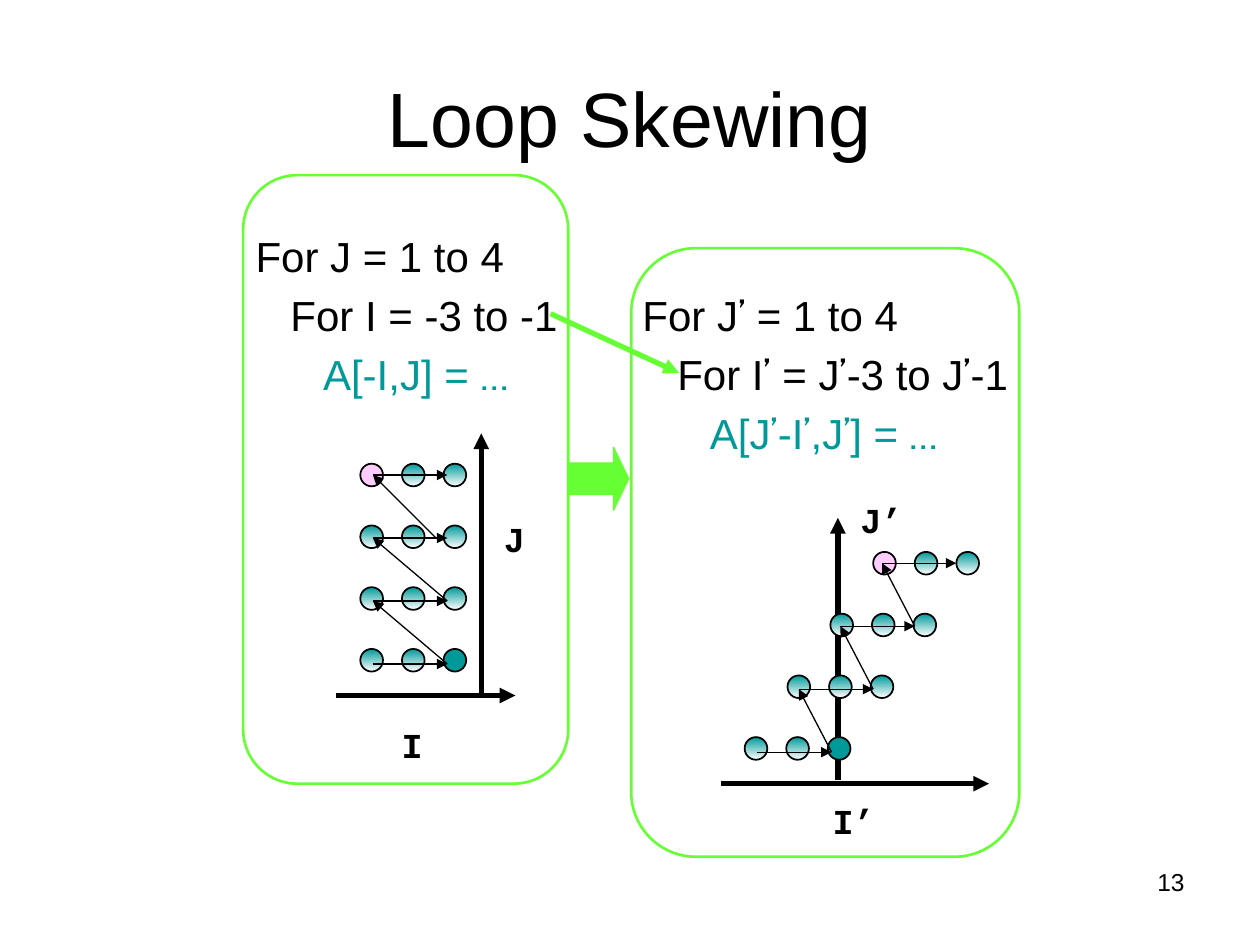
from dataclasses import dataclass
from itertools import groupby

from lxml import etree
from pptx import Presentation
from pptx.dml.color import RGBColor
from pptx.enum.shapes import MSO_CONNECTOR, MSO_SHAPE
from pptx.enum.text import MSO_ANCHOR, PP_ALIGN
from pptx.oxml.ns import qn
from pptx.util import Inches, Pt

STRAIGHT = MSO_CONNECTOR.STRAIGHT
PANEL = MSO_SHAPE.FLOWCHART_ALTERNATE_PROCESS
BLOCK_ARROW = MSO_SHAPE.RIGHT_ARROW
OVAL = MSO_SHAPE.OVAL
LEFT, CENTER, RIGHT = PP_ALIGN.LEFT, PP_ALIGN.CENTER, PP_ALIGN.RIGHT
TOP, MIDDLE = MSO_ANCHOR.TOP, MSO_ANCHOR.MIDDLE


@dataclass(frozen=True)
class Theme:
    ink: RGBColor = RGBColor(0x00, 0x00, 0x00)
    white: RGBColor = RGBColor(0xFF, 0xFF, 0xFF)
    teal: RGBColor = RGBColor(0x00, 0x99, 0x99)
    green: RGBColor = RGBColor(0x66, 0xFF, 0x33)
    pink: RGBColor = RGBColor(0xFF, 0xCC, 0xFF)
    sans: str = "Arial"
    symbol: str = "Cabin"
    mono: str = "Courier New"
    title: int = 44
    code: int = 24
    label: int = 20
    number: int = 14


theme = Theme()
deck = Presentation()
deck.slide_width, deck.slide_height = Inches(10), Inches(7.5)
slide = deck.slides.add_slide(deck.slide_layouts[5])
shapes = slide.shapes


def write(frame, text, size, font=theme.sans, symbol_font=None, bold=False,
          align=LEFT, anchor=TOP, hanging=0, space=0, last_color=theme.ink):
    frame.word_wrap = True
    frame.vertical_anchor = anchor
    lines = text.split("\n")
    for index, line in enumerate(lines):
        paragraph = frame.paragraphs[0] if index == 0 else frame.add_paragraph()
        paragraph.alignment = align
        if hanging:
            properties = paragraph._p.get_or_add_pPr()
            properties.set("marL", str(Inches(hanging)))
            properties.set("indent", str(-Inches(hanging)))
        if index:
            paragraph.space_before = Pt(space)
        for is_symbol, letters in groupby(line, key=lambda letter: letter in "’…"):
            run = paragraph.add_run()
            run.text = "".join(letters)
            run.font.name = symbol_font if is_symbol and symbol_font else font
            run.font.size = Pt(size)
            run.font.bold = bold
            run.font.color.rgb = last_color if index == len(lines) - 1 else theme.ink


def draw_arrow(start, end, width, color=theme.ink):
    arrow = shapes.add_connector(STRAIGHT, *map(Inches, start + end))
    arrow.line.color.rgb = color
    arrow.line.width = Pt(width)
    etree.SubElement(arrow.line._get_or_add_ln(), qn("a:tailEnd"), type="triangle")
    etree.SubElement(arrow._element.spPr, qn("a:effectLst"))


title = shapes.title
title.left, title.top, title.width, title.height = map(Inches, (0.5, 0.3, 9, 1.25))
write(title.text_frame, "Loop Skewing", theme.title, align=CENTER, anchor=MIDDLE)

page_number = shapes.add_textbox(*map(Inches, (7.17, 6.83, 2.33, 0.52)))
write(page_number.text_frame, "13", theme.number, align=RIGHT)

becomes = shapes.add_shape(BLOCK_ARROW, *map(Inches, (4.51, 3.55, 0.48, 0.5)))
becomes.adjustments[1] = 0.25
becomes.shadow.inherit = False
becomes.fill.solid()
becomes.fill.fore_color.rgb = theme.green
becomes.line.color.rgb = theme.green
becomes.line.width = Pt(0.75)

loop_nests = [
    dict(code="For J = 1 to 4\n   For I = -3 to -1\n      A[-I,J] = …",
         code_box=(1.93, 1.78, 3.07, 1.5), panel=(1.93, 1.39, 2.58, 4.83),
         axes=[((3.82, 5.52), (3.82, 3.44)), ((2.67, 5.52), (4.09, 5.52))],
         labels=[("I", (3.09, 5.69, 0.37, 0.43)), ("J", (3.9, 4.06, 0.37, 0.43))],
         first_dot=(2.86, 5.15), first_step=(2.96, 5.27),
         dot_skew=0, step_skew=0, last_return=3.46),
    dict(code="For J’ = 1 to 4\n   For I’ = J’-3 to J’-1\n      A[J’-I’,J’] = …",
         code_box=(5, 2.25, 3.39, 1.5), panel=(5.01, 1.97, 3.08, 4.83),
         axes=[((6.65, 6.19), (6.65, 4.11)), ((5.72, 6.22), (7.85, 6.22))],
         labels=[("I’", (6.51, 6.3, 0.6, 0.43)), ("J’", (6.73, 3.91, 0.6, 0.43))],
         first_dot=(5.91, 5.85), first_step=(6.01, 5.97),
         dot_skew=0.34, step_skew=0.33, last_return=7.26),
]
ROWS, COLUMNS = 4, 3
DOT, COLUMN_GAP, ROW_GAP = 0.18, 0.33, 0.49
STEP_LENGTH, STEP_GAP = 0.59, 0.5

for nest in loop_nests:
    code = shapes.add_textbox(*map(Inches, nest["code_box"]))
    write(code.text_frame, nest["code"], theme.code, symbol_font=theme.symbol,
          hanging=0.38, space=4.8, last_color=theme.teal)

    panel = shapes.add_shape(PANEL, *map(Inches, nest["panel"]))
    panel.shadow.inherit = False
    panel.fill.background()
    panel.line.color.rgb = theme.green
    panel.line.width = Pt(1.5)

    for start, end in nest["axes"]:
        draw_arrow(start, end, 3)
    for name, box in nest["labels"]:
        label = shapes.add_textbox(*map(Inches, box))
        write(label.text_frame, name, theme.label, font=theme.mono, bold=True)

    dot_left, dot_top = nest["first_dot"]
    for row in range(ROWS):
        for column in range(COLUMNS):
            left = dot_left + column * COLUMN_GAP + row * nest["dot_skew"]
            top = dot_top - row * ROW_GAP
            iteration = shapes.add_shape(OVAL, *map(Inches, (left, top, DOT, DOT)))
            iteration.rotation = 270
            iteration.shadow.inherit = False
            iteration.line.color.rgb = theme.ink
            iteration.line.width = Pt(1)
            if (row, column) in ((0, COLUMNS - 1), (ROWS - 1, 0)):
                iteration.fill.solid()
                iteration.fill.fore_color.rgb = theme.pink if row else theme.teal
            else:
                iteration.fill.gradient()
                iteration.fill.gradient_angle = 0
                for stop, color in zip(iteration.fill.gradient_stops, (theme.white, theme.teal)):
                    stop.color.rgb = color

    step_left, step_top = nest["first_step"]
    for row in range(ROWS):
        x, y = step_left + row * nest["step_skew"], step_top - row * STEP_GAP
        draw_arrow((x, y), (x + STEP_LENGTH, y), 0.75)
        if row < ROWS - 1:
            departure = nest["last_return"] if row == ROWS - 2 else x + STEP_LENGTH
            draw_arrow((departure, y), (x + nest["step_skew"], y - STEP_GAP), 0.75)

draw_arrow((4.37, 2.49), (5.39, 2.96), 3, theme.green)

deck.save("out.pptx")
